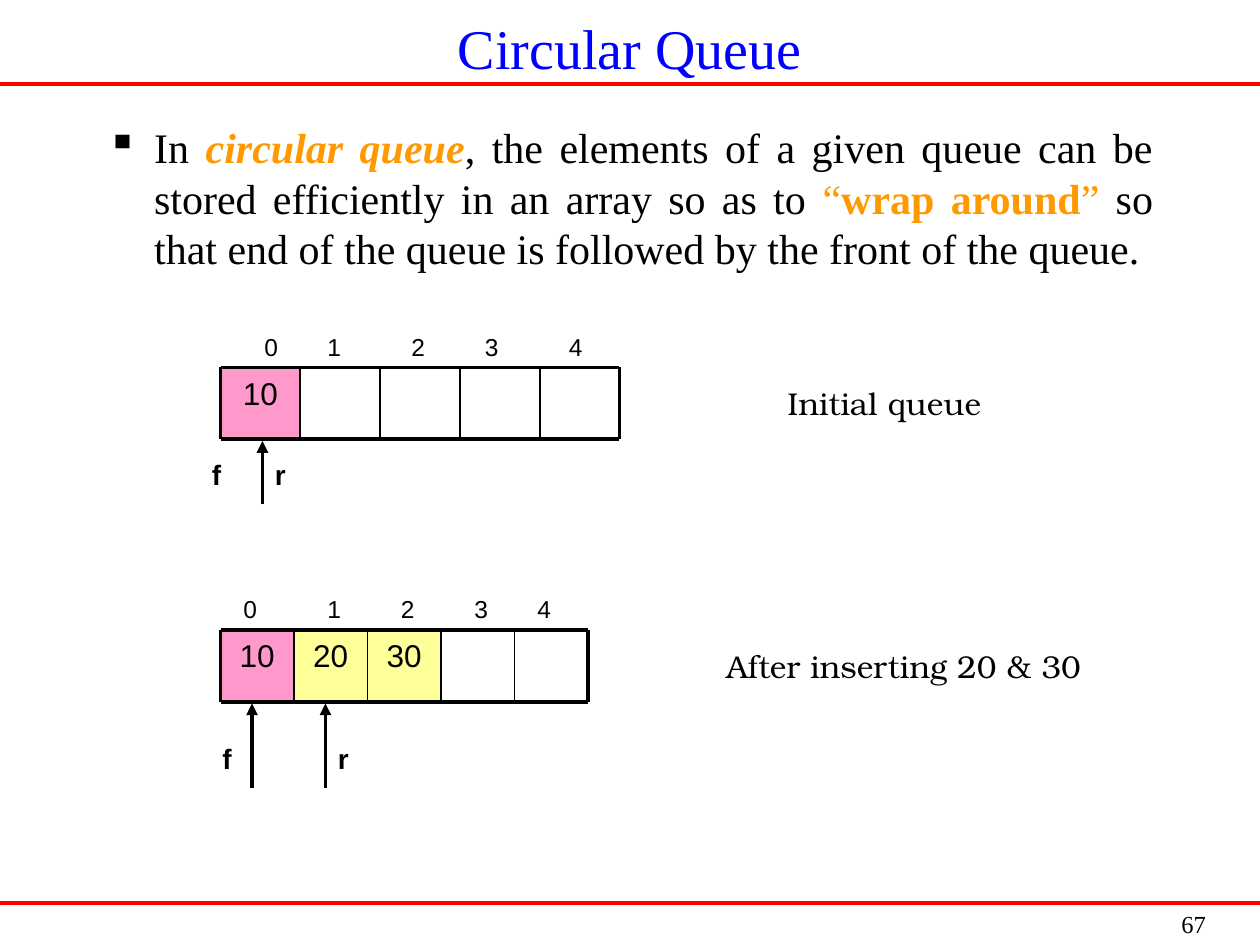
"""Build the circular queue slide."""
from dataclasses import dataclass

from lxml import etree
from pptx import Presentation
from pptx.dml.color import RGBColor
from pptx.enum.shapes import MSO_CONNECTOR, MSO_SHAPE
from pptx.enum.text import MSO_ANCHOR, MSO_AUTO_SIZE, PP_ALIGN
from pptx.oxml.ns import qn
from pptx.util import Pt

STRAIGHT = MSO_CONNECTOR.STRAIGHT
RECT = MSO_SHAPE.RECTANGLE
TOP, MIDDLE = MSO_ANCHOR.TOP, MSO_ANCHOR.MIDDLE
GROW = MSO_AUTO_SIZE.SHAPE_TO_FIT_TEXT
LEFT, CENTER, JUSTIFY = PP_ALIGN.LEFT, PP_ALIGN.CENTER, PP_ALIGN.JUSTIFY

BLACK, RED, BLUE = "000000", "FF0000", "0000FF"
ORANGE, PINK, YELLOW = "FF9900", "FF99CC", "FFFF99"
SERIF, SANS, BOOK = "Times New Roman", "Arial", "TeX Gyre Bonum"
THICK, THIN = 2.25, 1
ROW_LEFT, ROW_HIGH, SLOTS = 126, 41, 5


@dataclass
class Run:
    text: str
    color: str = BLACK
    bold: bool = False
    italic: bool = False


@dataclass
class Queue:
    top: float
    step: float
    items: list[str]
    marks: list[float]
    arrows: list[float]
    tail: float
    front: float
    rear: float
    note: str
    indent: float


QUEUES = [
    Queue(210, 45.6, ["10"], [144, 180, 228, 270, 318],
          [150], 288, 114, 150, "Initial queue", 35),
    Queue(360, 42, ["10", "20", "30"], [132, 180, 222, 264, 300],
          [144, 186], 450, 120, 186, "After inserting 20 & 30", 0),
]

BODY = [
    Run("In "),
    Run("circular queue", ORANGE, True, True),
    Run(", the elements of a given queue can be stored efficiently"
        " in an array so as to "),
    Run("\u201c", ORANGE),
    Run("wrap around", ORANGE, True),
    Run("\u201d", ORANGE),
    Run(" so that end of the queue is followed by the front of the queue."),
]


def paint(target, color: str) -> None:
    """Set a solid colour on a fill."""
    target.solid()
    target.fore_color.rgb = RGBColor.from_string(color)


def style(para, font: str, size: float, color: str = BLACK,
          bold: bool = False, align=LEFT, before: float = 0) -> None:
    """Set the font and layout of a paragraph."""
    para.font.name = font
    para.font.size = Pt(size)
    para.font.bold = bold
    paint(para.font.fill, color)
    para.alignment = align
    para.space_before = Pt(before)


def rule(slide, x1: float, y1: float, x2: float, y2: float,
         width: float = THICK, color: str = BLACK, arrow: bool = False) -> None:
    """Draw a straight line, with an arrowhead if asked."""
    line = slide.shapes.add_connector(STRAIGHT, Pt(x1), Pt(y1), Pt(x2), Pt(y2))
    line.line.width = Pt(width)
    paint(line.line.fill, color)
    if arrow:
        etree.SubElement(line.line._get_or_add_ln(), qn("a:tailEnd"),
                         type="triangle")
    etree.SubElement(line._element.spPr, qn("a:effectLst"))


def label(slide, text: str, x: float, y: float, width: float, height: float,
          font: str, size: float, before: float = 0, bold: bool = False,
          indent: float = 0) -> None:
    """Add a text box that grows with its text."""
    box = slide.shapes.add_textbox(Pt(x), Pt(y), Pt(width), Pt(height))
    frame = box.text_frame
    frame.word_wrap = True
    frame.auto_size = GROW
    para = frame.paragraphs[0]
    para.text = text
    style(para, font, size, bold=bold, before=before)
    if indent:
        para._p.get_or_add_pPr().set("marL", str(Pt(indent)))


def slot(slide, text: str, x: float, y: float, width: float,
         color: str) -> None:
    """Draw a filled queue slot."""
    box = slide.shapes.add_shape(RECT, Pt(x), Pt(y), Pt(width), Pt(ROW_HIGH))
    box.shadow.inherit = False
    paint(box.fill, color)
    box.line.fill.background()
    box.text_frame.vertical_anchor = TOP
    para = box.text_frame.paragraphs[0]
    para.text = text
    style(para, SANS, 18, align=CENTER, before=4.5)


def draw(slide, queue: Queue) -> None:
    """Draw one queue with its labels and pointers."""
    top, base = queue.top, queue.top + ROW_HIGH
    edges = [ROW_LEFT + i * queue.step for i in range(SLOTS + 1)]
    for i, item in enumerate(queue.items):
        slot(slide, item, edges[i], top, queue.step, YELLOW if i else PINK)
    for y in (top, base):
        rule(slide, edges[0], y, edges[-1], y)
    for i, x in enumerate(edges):
        rule(slide, x, top, x, base, THIN if 0 < i < SLOTS else THICK)
    for i, x in enumerate(queue.marks):
        label(slide, str(i), x, top - 24, 24, 24.5, SANS, 14, 8.8)
    for x in queue.arrows:
        rule(slide, x, queue.tail, x, base + 1, arrow=True)
    for name, x in (("f", queue.front), ("r", queue.rear)):
        label(slide, name, x, queue.tail - 30, 30, 26.6, SANS, 16, 10, True)
    label(slide, queue.note, 408, top + 6, 228, 29, BOOK, 18, 11.2,
          indent=queue.indent)


def head(slide) -> None:
    """Place and format the title."""
    title = slide.shapes.title
    title.left, title.top, title.width, title.height = (
        Pt(54), Pt(0), Pt(612), Pt(54))
    title.text_frame.vertical_anchor = MIDDLE
    para = title.text_frame.paragraphs[0]
    para.text = "Circular Queue"
    style(para, SERIF, 32, BLUE, align=CENTER)


def body(slide) -> None:
    """Add the bulleted paragraph."""
    box = slide.shapes.add_textbox(Pt(54), Pt(66), Pt(612), Pt(372))
    box.text_frame.word_wrap = True
    para = box.text_frame.paragraphs[0]
    style(para, SERIF, 24, align=JUSTIFY, before=6)
    props = para._p.get_or_add_pPr()
    props.set("marL", str(Pt(27)))
    props.set("indent", str(-Pt(27)))
    bullet = etree.Element(qn("a:buChar"), char="\u25aa")
    props.insert_element_before(bullet, "a:tabLst", "a:defRPr", "a:extLst")
    for part in BODY:
        run = para.add_run()
        run.text = part.text
        run.font.bold = part.bold
        run.font.italic = part.italic
        paint(run.font.fill, part.color)


def main() -> None:
    """Build and save the slide."""
    deck = Presentation()
    deck.slide_width, deck.slide_height = Pt(720), Pt(540)
    slide = deck.slides.add_slide(deck.slide_layouts[5])
    for y in (516, 48):
        rule(slide, 0, y, 720, y, 2, RED)
    label(slide, "67", 668, 516, 52, 24.5, SERIF, 14)
    head(slide)
    body(slide)
    for queue in QUEUES:
        draw(slide, queue)
    deck.save("out.pptx")


main()
